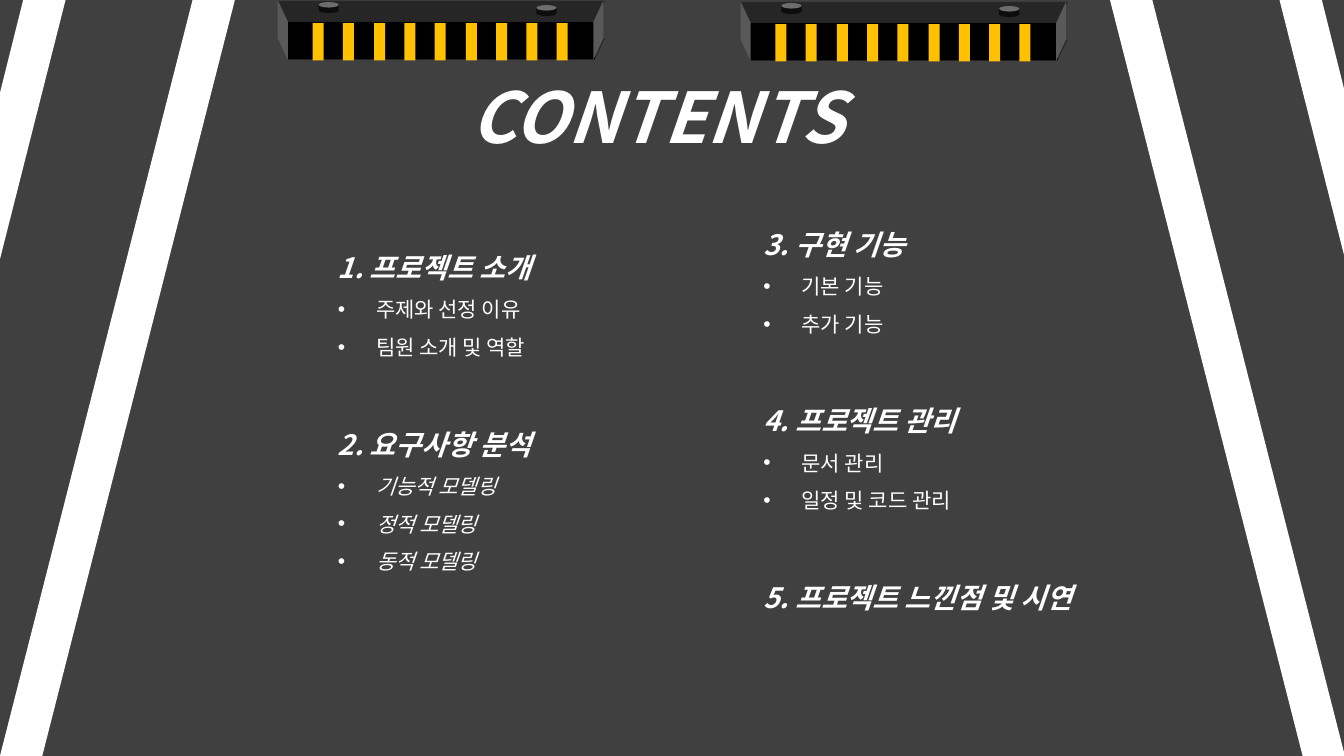
"""Builds the contents slide with its road markings and two barriers."""
from dataclasses import dataclass, field

from lxml import etree
from pptx import Presentation
from pptx import util as u
from pptx.dml.color import RGBColor
from pptx.enum import shapes, text
from pptx.oxml.ns import qn

PX = 9144
WIDE, HIGH = 1333, 750
FONT = "Noto Sans CJK KR"
HUES = {
    "road": "404040", "white": "FFFFFF", "black": "000000", "amber": "FFC000",
    "lid": "262626", "side": "595959", "knob": "0D0D0D",
}
KIND = shapes.MSO_SHAPE


@dataclass
class Part:
    kind: KIND
    box: tuple[int, int, int, int]
    hue: str
    adj: float | None = None
    flip: str = ""
    turn: int = 0


@dataclass
class Group:
    head: str
    items: list[str] = field(default_factory=list)
    slant: bool = False


BAR = [
    Part(KIND.TRAPEZOID, (276, 1, 324, 21), "lid", 0.475, "flipV"),
    Part(KIND.TRAPEZOID, (276, 38, 324, 21), "lid", 0.475, "flipV"),
    Part(KIND.RECTANGLE, (285, 22, 305, 37), "black"),
    Part(KIND.PARALLELOGRAM, (251, 25, 59, 10), "side", 2.145, turn=270),
    Part(KIND.PARALLELOGRAM, (564, 25, 59, 10), "side", 2.145, "flipH", 90),
    *[Part(KIND.RECTANGLE, (round(310 + 30.3 * i), 23, 11, 37), "amber")
      for i in range(9)],
    Part(KIND.CAN, (316, 2, 20, 11), "knob", 0.5),
    Part(KIND.CAN, (532, 5, 20, 11), "knob", 0.5),
]
LANES = [
    Part(KIND.PARALLELOGRAM, (0, 0, 233, HIGH), "white", 0.82),
    Part(KIND.PARALLELOGRAM, (1101, 0, 233, HIGH), "white", 0.82, "flipH"),
]
EDGE = [(23, 0), (65, 0), (0, 257), (0, 92)]
LEFT = [
    Group("1. 프로젝트 소개", ["주제와 선정 이유", "팀원 소개 및 역할"]),
    Group("2. 요구사항 분석",
          ["기능적 모델링", "정적 모델링", "동적 모델링"], True),
]
RIGHT = [
    Group("3. 구현 기능", ["기본 기능", "추가 기능"]),
    Group("4. 프로젝트 관리", ["문서 관리", "일정 및 코드 관리"]),
    Group("5. 프로젝트 느낀점 및 시연"),
]


def apply(target, form: dict) -> None:
    for name, value in form.items():
        setattr(target, name, value)


def place(shape, box: tuple[int, int, int, int]) -> None:
    names = ("left", "top", "width", "height")
    apply(shape, {n: v * PX for n, v in zip(names, box)})


def paint(shape, hue: str) -> None:
    shape.shadow.inherit = False
    shape.fill.solid()
    shape.fill.fore_color.rgb = RGBColor.from_string(HUES[hue])
    shape.line.fill.background()


def draw(slide, part: Part, dx: int = 0, dy: int = 0) -> None:
    x, y, w, h = part.box
    box = (x + dx, y + dy, w, h)
    shape = slide.shapes.add_shape(part.kind, *(v * PX for v in box))
    paint(shape, part.hue)
    shape.rotation = part.turn
    if part.adj is not None:
        shape.adjustments[0] = part.adj
    if part.flip:
        shape.element.spPr.find(qn("a:xfrm")).set(part.flip, "1")


def trace(slide, dots: list[tuple[int, int]]) -> None:
    pen = slide.shapes.build_freeform(*dots[0], scale=PX)
    pen.add_line_segments(dots[1:], close=True)
    paint(pen.convert_to_shape(), "white")


def frame(shape, box: tuple[int, int, int, int]):
    place(shape, box)
    shape.element.getparent().append(shape.element)
    body = shape.text_frame
    apply(body, {
        "word_wrap": True,
        "auto_size": text.MSO_AUTO_SIZE.SHAPE_TO_FIT_TEXT,
        "vertical_anchor": text.MSO_ANCHOR.TOP,
    })
    return body


def write(para, words: str, size: int, bold: bool = True,
          slant: bool = True, gap: int = 0) -> None:
    apply(para, {
        "line_spacing": u.Pt(size * 1.8),
        "space_before": u.Pt(gap),
        "space_after": u.Pt(0),
    })
    run = para.add_run()
    run.text = words
    apply(run.font, {
        "size": u.Pt(size), "bold": bold, "italic": slant, "name": FONT,
    })
    run.font.color.rgb = RGBColor.from_string(HUES["white"])
    props = run.font._element
    etree.SubElement(props, qn("a:ea")).set("typeface", FONT)


def mark(para, dot: bool) -> None:
    props = para._p.get_or_add_pPr()
    dent = 38 * PX if dot else 0
    props.set("marL", str(dent))
    props.set("indent", str(-dent))
    if dot:
        etree.SubElement(props, qn("a:buFont")).set("typeface", "Arial")
        etree.SubElement(props, qn("a:buChar")).set("char", "•")
    else:
        etree.SubElement(props, qn("a:buNone"))


def fill(body, groups: list[Group]) -> None:
    for i, group in enumerate(groups):
        para = body.add_paragraph() if i else body.paragraphs[0]
        write(para, group.head, 20, gap=36 if i else 0)
        mark(para, False)
        for item in group.items:
            para = body.add_paragraph()
            write(para, item, 15, False, group.slant)
            mark(para, True)


def main() -> None:
    deck = Presentation()
    apply(deck, {"slide_width": WIDE * PX, "slide_height": HIGH * PX})
    slide = deck.slides.add_slide(deck.slide_layouts[3])
    back = slide.background.fill
    back.solid()
    back.fore_color.rgb = RGBColor.from_string(HUES["road"])
    for dx, dy in ((0, 0), (459, 1)):
        for part in BAR:
            draw(slide, part, dx, dy)
    for lane in LANES:
        draw(slide, lane)
    trace(slide, EDGE)
    trace(slide, [(WIDE + 1 - x, y) for x, y in EDGE])
    title, left, right = list(slide.placeholders)
    para = frame(title, (277, 26, 750, 120)).paragraphs[0]
    para.alignment = text.PP_ALIGN.CENTER
    write(para, "CONTENTS", 50)
    fill(frame(left, (325, 227, 471, 351)), LEFT)
    fill(frame(right, (747, 204, 408, 464)), RIGHT)
    deck.save("out.pptx")


if __name__ == "__main__":
    main()
